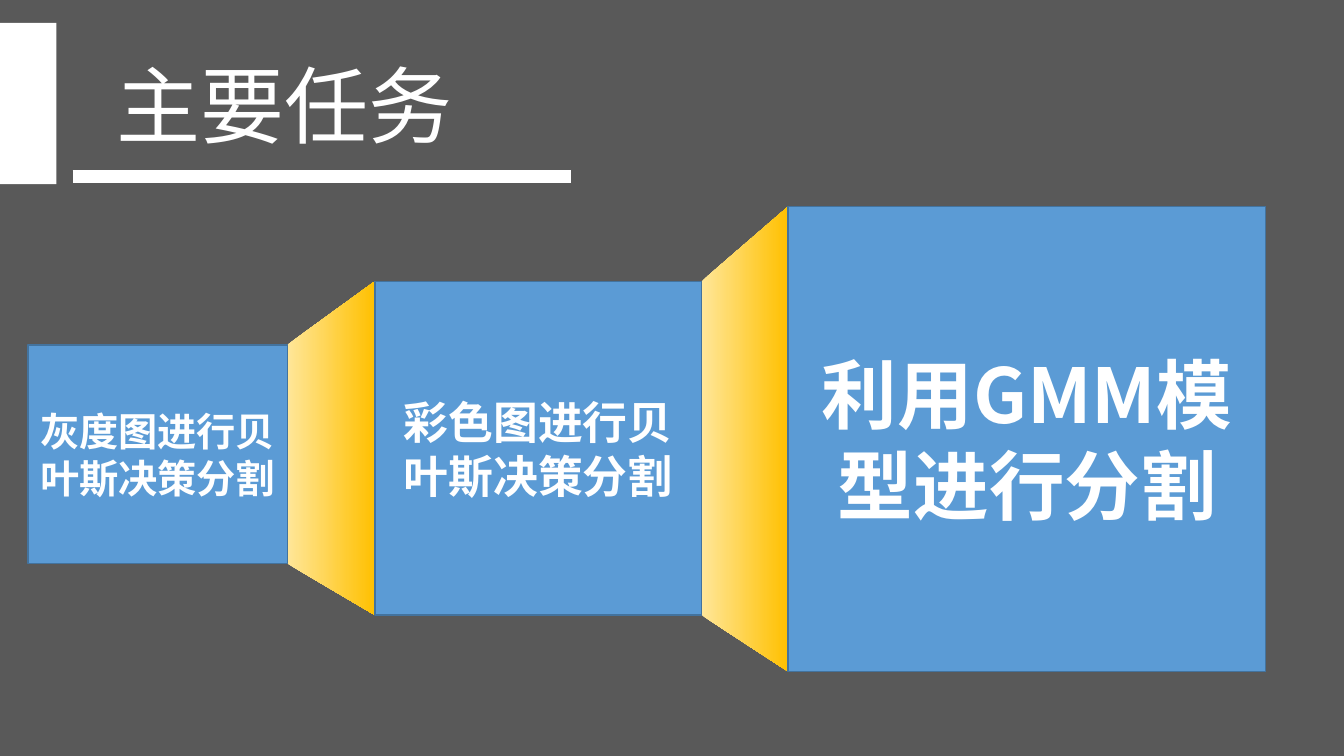
from itertools import pairwise

from lxml.etree import SubElement
from pptx import Presentation
from pptx.dml.color import RGBColor
from pptx.enum.shapes import MSO_CONNECTOR as Connector, MSO_SHAPE as Shape
from pptx.enum.text import MSO_ANCHOR as Anchor, PP_ALIGN as Align
from pptx.oxml.ns import qn
from pptx.util import Cm, Pt

# Content: text, font size, then left, top, width, height in cm
TITLE = "主要任务"
TASKS = [
    ("灰度图进行贝叶斯决策分割", 28, (0.71, 8.69, 6.53, 5.51)),
    ("彩色图进行贝叶斯决策分割", 32, (9.45, 7.09, 8.23, 8.41)),
    ("利用GMM模型进行分割", 54, (19.86, 5.21, 12.04, 11.71)),
]
FONT = "Noto Sans CJK SC"
GREY, WHITE, BLUE, EDGE = "595959", "FFFFFF", "5B9BD5", "43739E"
GOLD_FADE = ("FFE699", "FFC000")


def color(value):
    return RGBColor.from_string(value)


def write(shape, text, size, bold=False, align=Align.CENTER):
    frame = shape.text_frame
    frame.word_wrap = True
    frame.vertical_anchor = Anchor.MIDDLE
    para = frame.paragraphs[0]
    para.alignment = align
    span = para.add_run()
    span.text = text
    span.font.size = Pt(size)
    span.font.bold = bold
    span.font.name = FONT
    span.font.color.rgb = color(WHITE)
    SubElement(span.font._element, qn("a:ea"), typeface=FONT)


def add_box(page, box, fill, edge=None):
    shape = page.shapes.add_shape(Shape.RECTANGLE, *map(Cm, box))
    shape.shadow.inherit = False
    shape.fill.solid()
    shape.fill.fore_color.rgb = color(fill)
    if edge:
        shape.line.color.rgb = color(edge)
        shape.line.width = Pt(1)
    else:
        shape.line.fill.background()
    return shape


def add_funnel(page, small, large):
    """Join the right side of one task box to the left side of the next."""
    left, top, width, height = small
    start = left + width
    end, end_top, _, end_height = large
    corners = [(end, end_top), (end, end_top + end_height), (start, top + height)]
    builder = page.shapes.build_freeform(Cm(start), Cm(top))
    builder.add_line_segments([(Cm(x), Cm(y)) for x, y in corners], close=True)
    shape = builder.convert_to_shape()
    shape.shadow.inherit = False
    shape.line.fill.background()
    shape.fill.gradient()
    shape.fill.gradient_angle = 0
    for stop, value in zip(shape.fill.gradient_stops, GOLD_FADE):
        stop.color.rgb = color(value)


def main():
    deck = Presentation()
    deck.slide_width, deck.slide_height = Cm(33.87), Cm(19.05)
    page = deck.slides.add_slide(deck.slide_layouts[5])
    page.background.fill.solid()
    page.background.fill.fore_color.rgb = color(GREY)

    # Title with side block and underline
    title = page.shapes.title
    title.left, title.top, title.width, title.height = map(Cm, (2.69, 1.22, 12.09, 2.82))
    write(title, TITLE, 60, align=Align.LEFT)
    add_box(page, (0, 0.58, 1.42, 4.06), WHITE)
    underline = page.shapes.add_connector(
        Connector.STRAIGHT, *map(Cm, (1.83, 4.44, 14.38, 4.44)))
    underline.line.color.rgb = color(WHITE)
    underline.line.width = Pt(9)
    SubElement(underline._element.spPr, qn("a:effectLst"))

    # Funnels between neighbouring tasks, then the task boxes
    for (*_, small), (*_, large) in pairwise(TASKS):
        add_funnel(page, small, large)
    for text, size, box in TASKS:
        write(add_box(page, box, BLUE, EDGE), text, size, bold=True)

    deck.save("out.pptx")


if __name__ == "__main__":
    main()
